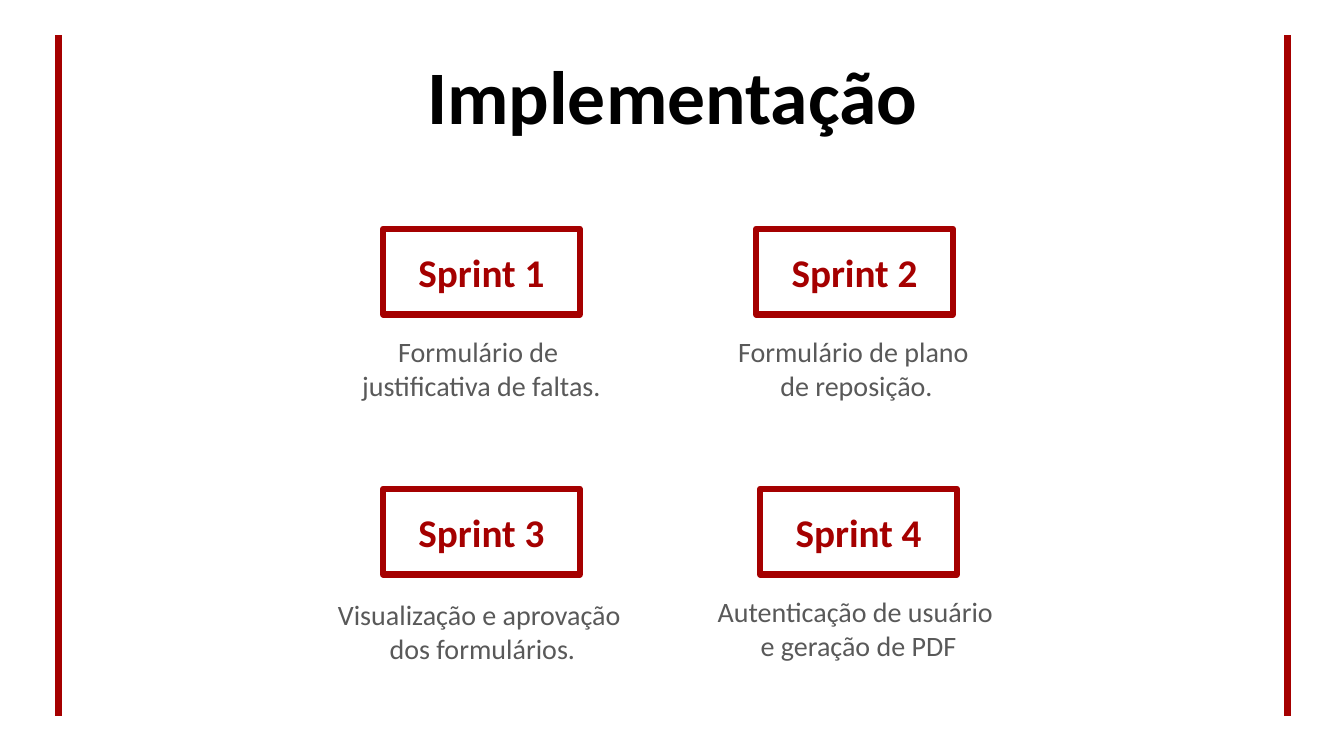
from pptx import Presentation
from pptx.dml.color import RGBColor
from pptx.enum import shapes, text
from pptx.oxml.ns import qn
from pptx.util import Inches, Pt

RED = RGBColor(0xA5, 0x00, 0x00)
GREY = RGBColor(0x59, 0x59, 0x59)
BLACK = RGBColor(0, 0, 0)

SPRINTS = [
    ("Sprint 1", (3.8, 2.27), "Formulário de \njustificativa de faltas.", (3.26, 3.27, 3.03, 0.77)),
    ("Sprint 2", (7.5, 2.27), "Formulário de plano \nde reposição.", (6.44, 3.27, 4.11, 0.77)),
    ("Sprint 3", (3.8, 4.85), "Visualização e aprovação \ndos formulários.", (2.73, 5.88, 4.11, 0.77)),
    ("Sprint 4", (7.54, 4.85), "Autenticação de usuário \ne geração de PDF", (6.46, 5.85, 4.11, 0.77)),
]


def write(sp, words, size, color, bold=False, anchor=text.MSO_ANCHOR.TOP):
    """Put one centred paragraph in a shape and return it."""
    tf = sp.text_frame
    tf.word_wrap = True
    tf.vertical_anchor = anchor
    p = tf.paragraphs[0]
    p.text = words
    p.alignment = text.PP_ALIGN.CENTER
    p.font.name = "Calibri"
    p.font.size = Pt(size)
    p.font.bold = bold
    p.font.color.rgb = color
    return p


def add_title(s, box, words):
    """Place the slide heading in the given box."""
    sp = s.shapes.add_textbox(*map(Inches, box))
    p = write(sp, words, 54, BLACK, True, text.MSO_ANCHOR.BOTTOM)
    p.line_spacing = 0.9
    p.space_after = Pt(8)


def add_sprint(s, name, corner, caption, caption_box):
    """Place a framed sprint name and its caption."""
    sp = s.shapes.add_shape(shapes.MSO_SHAPE.RECTANGLE, *map(Inches, (*corner, 1.95, 0.85)))
    sp.shadow.inherit = False
    sp.fill.background()
    sp.line.color.rgb = RED
    sp.line.width = Pt(4.5)
    write(sp, name, 28, RED, True, text.MSO_ANCHOR.MIDDLE)

    sp = s.shapes.add_textbox(*map(Inches, caption_box))
    p = write(sp, caption, 20, GREY)
    p.space_before = p.space_after = Pt(2.5)
    sp.text_frame.auto_size = text.MSO_AUTO_SIZE.SHAPE_TO_FIT_TEXT


def add_side_rule(s, x, top, bottom):
    """Draw a vertical red rule at x."""
    ln = s.shapes.add_connector(shapes.MSO_CONNECTOR.STRAIGHT, *map(Inches, (x, top, x, bottom)))
    ln.line.color.rgb = RED
    ln.line.width = Pt(4.5)
    spPr = ln._element.spPr
    spPr.append(spPr.makeelement(qn("a:effectLst"), {}))


def main():
    """Build and save the slide."""
    prs = Presentation()
    prs.slide_width, prs.slide_height = Inches(13.33), Inches(7.5)
    s = prs.slides.add_slide(prs.slide_layouts[6])
    add_title(s, (3.25, 0.25, 6.84, 1.2), "Implementação")
    for sprint in SPRINTS:
        add_sprint(s, *sprint)
    for x in (0.58, 12.77):
        add_side_rule(s, x, 0.35, 7.1)
    prs.save("out.pptx")


if __name__ == "__main__":
    main()
